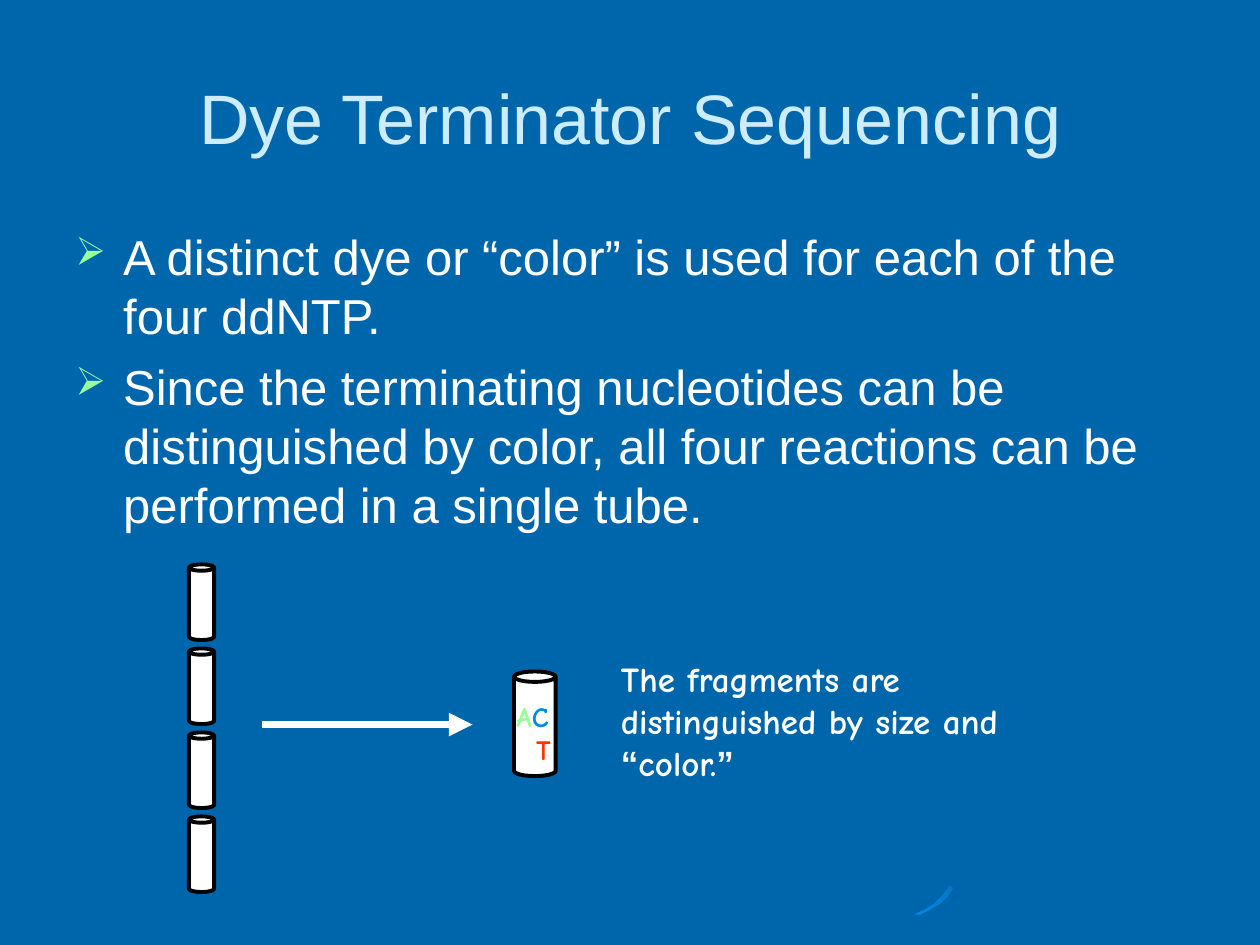
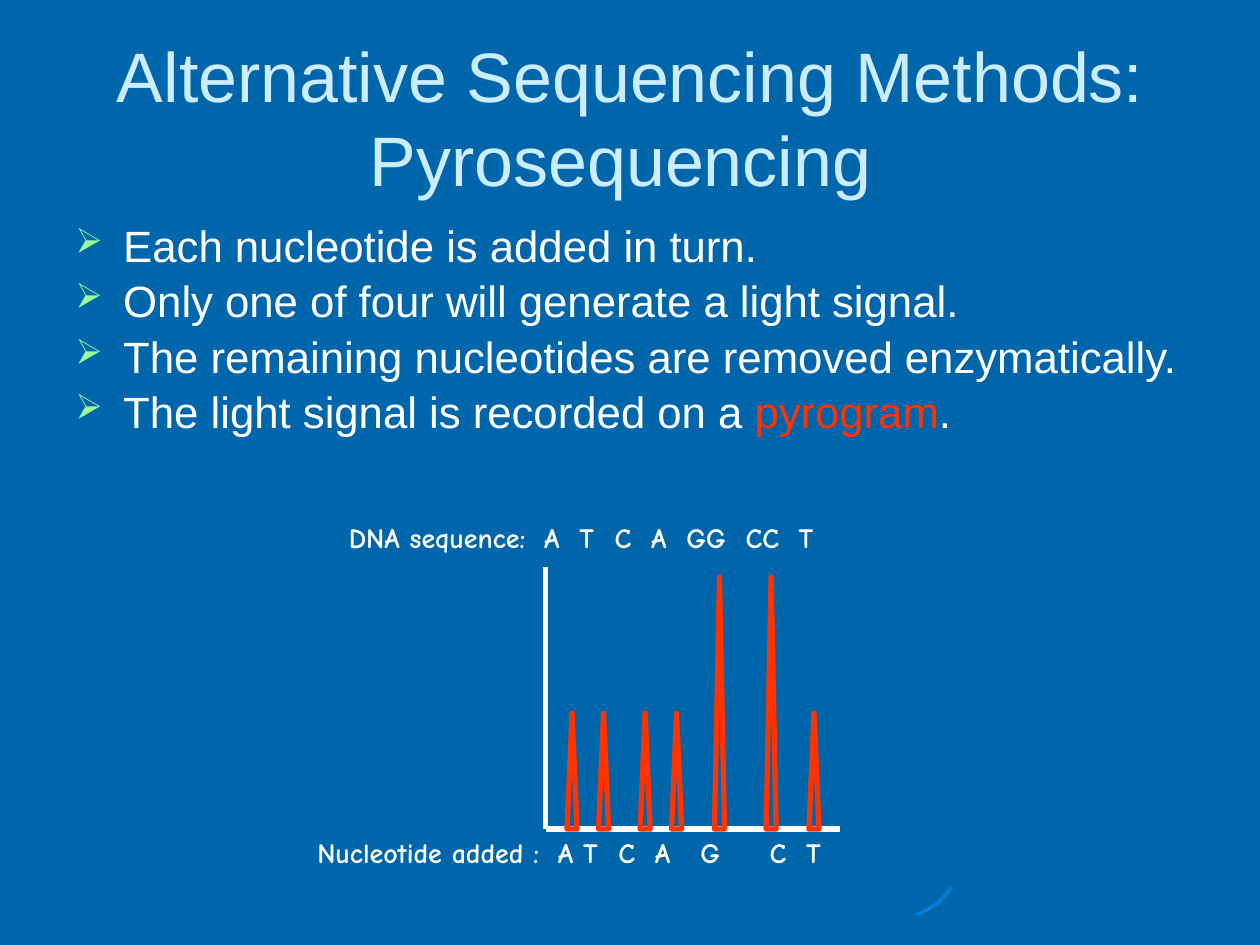
import dataclasses

import lxml.etree
import pptx
import pptx.dml.color
import pptx.enum.shapes
import pptx.enum.text
import pptx.oxml.ns
import pptx.shapes.autoshape
import pptx.shapes.base
import pptx.shapes.connector
import pptx.slide
import pptx.text.text
import pptx.util

Inches = pptx.util.Inches
Pt = pptx.util.Pt
SHAPE = pptx.enum.shapes.MSO_SHAPE
ALIGN = pptx.enum.text.PP_ALIGN
ANCHOR = pptx.enum.text.MSO_ANCHOR

HUES = {
    "back": "0066AB",
    "title": "CCECFF",
    "white": "FFFFFF",
    "black": "000000",
    "green": "99FF99",
    "blue": "0088E4",
    "deep": "0077C8",
    "red": "FF3300",
}
PLAIN, HAND = "Arial", "Comic Neue"
SWOOSH = [(7.25, 7.26), (7.3, 7.26), (7.38, 7.22), (7.46, 7.17), (7.52, 7.11),
          (7.56, 7.05), (7.54, 7.03), (7.49, 7.1), (7.42, 7.17), (7.34, 7.22)]


@dataclasses.dataclass
class Part:
    text: str
    hue: str = "white"
    face: str = PLAIN


@dataclasses.dataclass
class Box:
    left: float
    top: float
    width: float
    height: float

    def place(self) -> tuple:
        return tuple(Inches(v) for v in (self.left, self.top, self.width, self.height))


@dataclasses.dataclass
class Label:
    box: Box
    words: list[str]
    stops: list[float]


TITLE = Box(0.5, 0.3, 9, 1.25)
BODY = Box(0.5, 1.75, 9, 4.95)


def color(name: str) -> pptx.dml.color.RGBColor:
    return pptx.dml.color.RGBColor.from_string(HUES[name])


def add_xml(parent, tag: str, **attrs: str):
    node = lxml.etree.SubElement(parent, pptx.oxml.ns.qn(tag))
    for key, value in attrs.items():
        node.set(key, value)
    return node


def write(par: pptx.text.text._Paragraph, parts: list[Part], size: float,
          bold: bool = False) -> None:
    for part in parts:
        run = par.add_run()
        run.text = part.text
        run.font.name = part.face
        run.font.size = Pt(size)
        run.font.bold = bold
        run.font.color.rgb = color(part.hue)


def add_text(slide: pptx.slide.Slide, box: Box) -> pptx.text.text.TextFrame:
    frame = slide.shapes.add_textbox(*box.place()).text_frame
    frame.word_wrap = True
    return frame


def add_bullets(slide: pptx.slide.Slide, items: list[list[Part]], size: float,
                gap: float, pitch: float) -> None:
    frame = add_text(slide, BODY)
    for i, parts in enumerate(items):
        par = frame.add_paragraph() if i else frame.paragraphs[0]
        par.line_spacing = pitch
        par.space_before = Pt(gap if i else 0)
        props = par._p.get_or_add_pPr()
        props.set("marL", str(Inches(0.38)))
        props.set("indent", str(-Inches(0.38)))
        add_xml(add_xml(props, "a:buClr"), "a:srgbClr", val=HUES["green"])
        add_xml(props, "a:buSzPct", val="80000")
        add_xml(props, "a:buChar", char="➢")
        write(par, parts, size)


def add_label(slide: pptx.slide.Slide, label: Label) -> None:
    """Draw a heading and its letters, each letter at its own tab stop."""
    frame = add_text(slide, label.box)
    frame.margin_right = 0
    par = frame.paragraphs[0]
    tabs = add_xml(par._p.get_or_add_pPr(), "a:tabLst")
    for stop in label.stops:
        add_xml(tabs, "a:tab", pos=str(Inches(stop)), algn="l")
    write(par, [Part("\t".join(label.words), face=HAND)], 16, True)


def add_line(slide: pptx.slide.Slide, start: tuple[float, float],
             end: tuple[float, float], width: float) -> pptx.shapes.connector.Connector:
    points = [Inches(v) for v in (*start, *end)]
    line = slide.shapes.add_connector(pptx.enum.shapes.MSO_CONNECTOR.STRAIGHT, *points)
    line.line.color.rgb = color("white")
    line.line.width = Pt(width)
    add_xml(line._element.spPr, "a:effectLst")
    return line


def add_form(slide: pptx.slide.Slide, kind: SHAPE, box: Box, edge: str,
             width: float, fill: str = "") -> pptx.shapes.autoshape.Shape:
    form = slide.shapes.add_shape(kind, *box.place())
    form.shadow.inherit = False
    form.line.color.rgb = color(edge)
    form.line.width = Pt(width)
    if fill:
        form.fill.solid()
        form.fill.fore_color.rgb = color(fill)
    else:
        form.fill.background()
    return form


def add_tube(slide: pptx.slide.Slide, box: Box) -> None:
    add_form(slide, SHAPE.CAN, box, "black", 2.25, "white").adjustments[0] = 0.25


def add_swoosh(slide: pptx.slide.Slide) -> None:
    points = [(Inches(x), Inches(y)) for x, y in SWOOSH]
    pen = slide.shapes.build_freeform(*points[0])
    pen.add_line_segments(points[1:], close=True)
    form = pen.convert_to_shape()
    form.shadow.inherit = False
    form.line.fill.background()
    form.fill.gradient()
    form.fill.gradient_angle = 45
    for stop, hue in zip(form.fill.gradient_stops, ("blue", "deep")):
        stop.color.rgb = color(hue)


def add_slide(deck, title: str) -> pptx.slide.Slide:
    slide = deck.slides.add_slide(deck.slide_layouts[5])
    add_swoosh(slide)
    head = slide.shapes.title
    head.left, head.top, head.width, head.height = TITLE.place()
    frame = head.text_frame
    frame.text = title
    frame.vertical_anchor = ANCHOR.MIDDLE
    par = frame.paragraphs[0]
    par.alignment = ALIGN.CENTER
    for run in par.runs:
        run.font.name = PLAIN
        run.font.size = Pt(40)
        run.font.color.rgb = color("title")
    return slide


def draw_dyes(deck) -> None:
    slide = add_slide(deck, "Dye Terminator Sequencing")
    add_bullets(slide, [
        [Part("A distinct dye or “color” is used for each of the four ddNTP.")],
        [Part("Since the terminating nucleotides can be distinguished by color, "
              "all four reactions can be performed in a single tube.")],
    ], 28, 7, 1.0)

    for i in range(4):
        add_tube(slide, Box(1.5, 4.48 + i * 2 / 3, 0.2, 0.6))
    arrow = add_line(slide, (2.08, 5.75), (3.75, 5.75), 4.5)
    add_xml(arrow.line._get_or_add_ln(), "a:tailEnd", type="triangle")

    add_tube(slide, Box(4.08, 5.33, 0.33, 0.83))
    frame = add_text(slide, Box(4, 5.5, 0.67, 0.67))
    write(frame.paragraphs[0], [Part("A", "green", HAND), Part("C", "blue", HAND)], 16, True)
    write(frame.add_paragraph(), [Part("G", "white", HAND), Part("T", "red", HAND)], 16, True)

    note = add_text(slide, Box(4.83, 5.17, 3.77, 1.1))
    write(note.paragraphs[0], [
        Part("The fragments are distinguished by size and ", face=HAND),
        Part("“"), Part("color.", face=HAND), Part("”"),
    ], 20, True)


def draw_pyro(deck) -> None:
    slide = add_slide(deck, "Alternative Sequencing Methods:\vPyrosequencing ")
    add_bullets(slide, [
        [Part("Each nucleotide is added in turn.")],
        [Part("Only one of four will generate a light signal.")],
        [Part("The remaining nucleotides are removed enzymatically.")],
        [Part("The light signal is recorded on a "), Part("pyrogram", "red"), Part(".")],
    ], 25, 6.2, 0.85)

    left, base = 4.33, 6.58
    add_line(slide, (left, 4.5), (left, base), 3)
    add_line(slide, (6.67, base), (left, base), 3)

    bases = ["A", "T", "C", "A", "GG", "CC", "T"]
    spots = [4.5, 4.75, 5.08, 5.33, 5.67, 6.08, 6.42]
    for letter, x in zip(bases, spots):
        tall = 2 if len(letter) == 2 else 0.92
        add_form(slide, SHAPE.ISOSCELES_TRIANGLE, Box(x, base - tall, 0.08, tall), "red", 3)

    add_label(slide, Label(Box(2.67, 4.08, 3.9, 0.37), ["DNA sequence:", *bases],
                           [1.55, 1.83, 2.11, 2.4, 2.68, 3.15, 3.57]))
    add_label(slide, Label(Box(2.42, base, 4.2, 0.37),
                           ["Nucleotide added :", *(letter[0] for letter in bases)],
                           [1.91, 2.11, 2.39, 2.68, 3.04, 3.59, 3.88]))


def main() -> None:
    deck = pptx.Presentation()
    deck.slide_width, deck.slide_height = Inches(10), Inches(7.5)
    back = deck.slide_master.background.fill
    back.solid()
    back.fore_color.rgb = color("back")
    draw_dyes(deck)
    draw_pyro(deck)
    deck.save("out.pptx")


if __name__ == "__main__":
    main()
